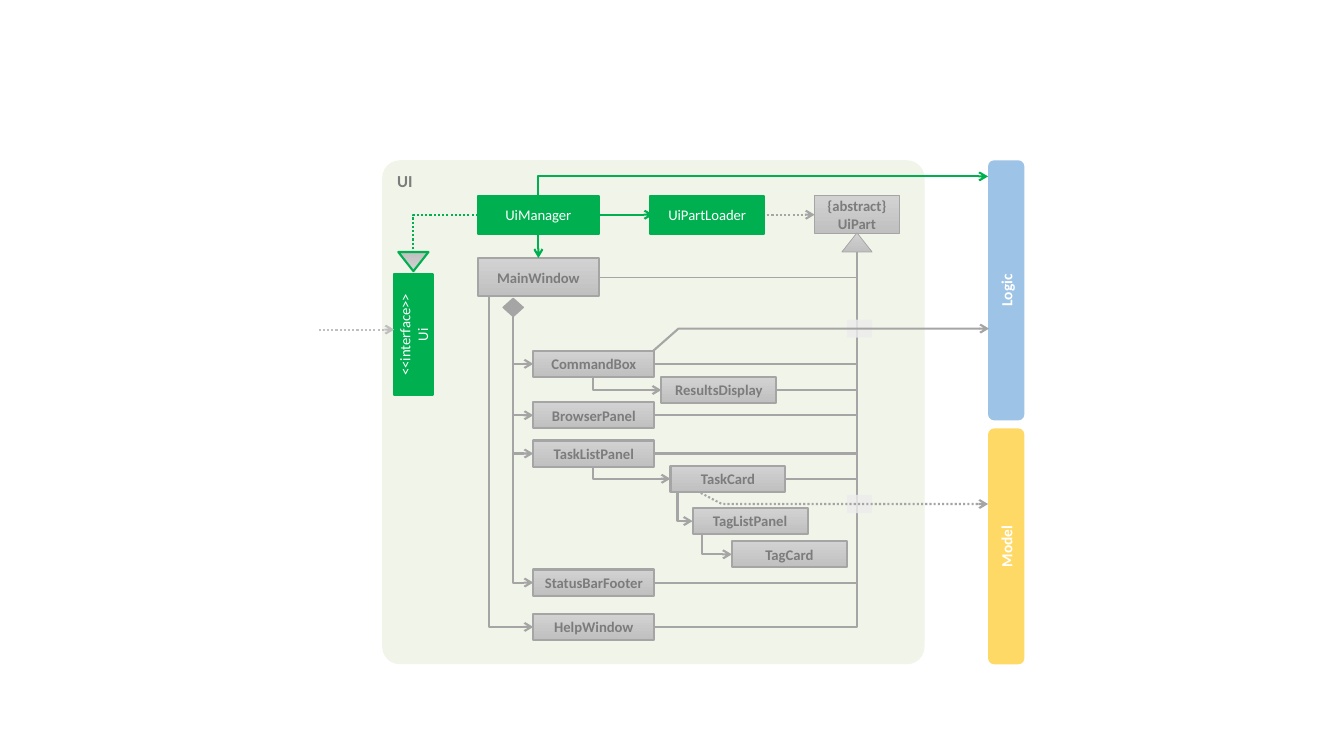
"""Build a class diagram of the UI component with its links to Logic and Model."""
import pptx
import pptx.util
import pptx.dml.color
import pptx.enum.dml
import pptx.enum.shapes
import pptx.enum.text
import pptx.oxml
import pptx.oxml.ns

Inches = pptx.util.Inches
Pt = pptx.util.Pt
hue = pptx.dml.color.RGBColor.from_string
qn = pptx.oxml.ns.qn
Kind = pptx.enum.shapes.MSO_SHAPE
Link = pptx.enum.shapes.MSO_CONNECTOR
Anchor = pptx.enum.text.MSO_ANCHOR
Align = pptx.enum.text.PP_ALIGN
GREEN, GRAY, INK, WHITE = "00B050", "A5A5A5", "7C7C7C", "FFFFFF"

deck = pptx.Presentation()
deck.slide_width, deck.slide_height = Inches(13.33), Inches(7.5)
shapes = deck.slides.add_slide(deck.slide_layouts[6]).shapes


def box(frame, text="", kind=Kind.RECTANGLE, fill=None, edge=GRAY, width=1.5,
        ink=INK, size=10.5, bold=True, turn=0):
    """Add a shape with centred text; without a fill colour it gets the gray gradient."""
    shape = shapes.add_shape(kind, *map(Inches, frame))
    shape.shadow.inherit = False
    shape.rotation = turn
    if fill:
        shape.fill.solid()
        shape.fill.fore_color.rgb = hue(fill)
    else:
        shape.fill.gradient()
        shape.fill.gradient_angle = 270
        for stop, tone in zip(shape.fill.gradient_stops, ("D2D2D2", "C0C0C0")):
            stop.color.rgb = hue(tone)
    if edge:
        shape.line.color.rgb = hue(edge)
        shape.line.width = Pt(width)
    else:
        shape.line.fill.background()
    if text:
        words = shape.text_frame
        words.text = text
        words.word_wrap = False
        words.vertical_anchor = Anchor.MIDDLE
        words.margin_top = words.margin_bottom = 0
        for para in words.paragraphs:
            para.alignment = Align.CENTER
            para.font.name, para.font.size = "Calibri", Pt(size)
            para.font.bold, para.font.color.rgb = bold, hue(ink)
    return shape


def wire(points, color=GRAY, width=1.5, tip=None, dots=False, bend=True):
    """Join two points, across and then up or down, or trace a longer path."""
    spots = [(Inches(x), Inches(y)) for x, y in points]
    if len(spots) > 2:
        path = shapes.build_freeform(*spots[0])
        path.add_line_segments(spots[1:], close=False)
        item = path.convert_to_shape()
        item.fill.background()
        item.shadow.inherit = False
    else:
        item = shapes.add_connector(Link.ELBOW if bend else Link.STRAIGHT, *spots[0], *spots[1])
        if bend:
            item.element.spPr.find(qn("a:prstGeom")).set("prst", "bentConnector2")
    item.line.color.rgb = hue(color)
    item.line.width = Pt(width)
    if dots:
        item.line.dash_style = pptx.enum.dml.MSO_LINE.ROUND_DOT
    props = item.element.spPr
    if tip:
        end = pptx.oxml.ns.nsdecls("a")
        props.find(qn("a:ln")).append(pptx.oxml.parse_xml(f'<a:{tip} {end} type="arrow"/>'))
    if len(spots) == 2:
        props.append(pptx.oxml.parse_xml(f'<a:effectLst {pptx.oxml.ns.nsdecls("a")}/>'))


panel = box((3.79, 1.59, 5.38, 5), "UI", Kind.ROUNDED_RECTANGLE, "F1F5E9", None, size=12)
panel.adjustments[0] = 0.035
panel.text_frame.vertical_anchor = Anchor.TOP
panel.text_frame.margin_top = Inches(0.05)
panel.text_frame.paragraphs[0].alignment = Align.LEFT

for name, frame, fill in [("Logic", (8.69, 2.7, 2.58, 0.36), "9DC3E6"),
                          ("Model", (8.81, 5.24, 2.34, 0.36), "FFD966")]:
    box(frame, name, Kind.ROUNDED_RECTANGLE, fill, None, ink=WHITE, size=11, turn=270)

for name, frame, turn in [("UiManager", (4.74, 1.94, 1.2, 0.38), 0),
                          ("UiPartLoader", (6.45, 1.94, 1.13, 0.38), 0),
                          ("<<interface>>\nUi", (3.5, 3.13, 1.2, 0.38), 270)]:
    box(frame, name, fill=GREEN, edge=GREEN, ink=WHITE, bold=False, turn=turn)

box((4.74, 2.56, 1.2, 0.38), "MainWindow")
box((8.08, 1.94, 0.84, 0.38), "{abstract}\vUiPart", width=0.5)
box((8.35, 2.31, 0.3, 0.19), kind=Kind.ISOSCELES_TRIANGLE, width=0.5)
box((3.95, 2.5, 0.3, 0.19), kind=Kind.ISOSCELES_TRIANGLE, edge=GREEN, turn=180)
box((4.99, 2.96, 0.2, 0.18), kind=Kind.FLOWCHART_DECISION, fill=GRAY, width=1)

root = (8.5, 2.5)
wire([(5.94, 2.75), root], width=0.5)
for name, top, source in [("CommandBox", 3.48, (5.09, 3.14)),
                          ("BrowserPanel", 3.99, (5.09, 3.14)),
                          ("TaskListPanel", 4.37, (5.09, 3.14)),
                          ("StatusBarFooter", 5.65, (5.09, 3.14)),
                          ("HelpWindow", 6.09, (4.85, 2.94))]:
    box((5.29, top, 1.2, 0.26), name)
    wire([(5.29, top + 0.13), source], tip="headEnd")
    wire([(6.48, top + 0.13), root])

for name, left, top, source in [("ResultsDisplay", 6.56, 3.74, (5.88, 3.74)),
                                ("TaskCard", 6.65, 4.62, (5.88, 4.63)),
                                ("TagListPanel", 6.87, 5.04, (6.72, 4.88)),
                                ("TagCard", 7.26, 5.37, (6.96, 5.31))]:
    box((left, top, 1.14, 0.26), name)
    wire([(left, top + 0.13), source], tip="headEnd")
for start in [(7.7, 3.87), (7.79, 4.75)]:
    wire([start, root])

wire([(9.8, 1.75), (5.34, 1.94)], GREEN, tip="headEnd")
wire([(4.74, 2.13), (4.1, 2.5)], GREEN, dots=True)
for start, end, color, dots in [((5.34, 2.32), (5.34, 2.56), GREEN, False),
                                ((5.95, 2.13), (6.48, 2.13), GREEN, False),
                                ((7.61, 2.13), (8.08, 2.13), GRAY, True),
                                ((3.16, 3.27), (3.91, 3.27), "BFBFBF", True)]:
    wire([start, end], color, tip="tailEnd", dots=dots, bend=False)

for top, route, dots in [(3.17, [(6.48, 3.48), (6.73, 3.26), (9.81, 3.26)], False),
                         (4.91, [(6.95, 4.89), (7.16, 5), (9.8, 5)], True)]:
    patch = box((8.4, top, 0.25, 0.18), fill="EDEDED", edge=None)
    tone = patch.element.spPr.find(qn("a:solidFill")).find(qn("a:srgbClr"))
    tone.append(pptx.oxml.parse_xml(f'<a:alpha {pptx.oxml.ns.nsdecls("a")} val="80000"/>'))
    wire(route, tip="tailEnd", dots=dots)

deck.save("out.pptx")
